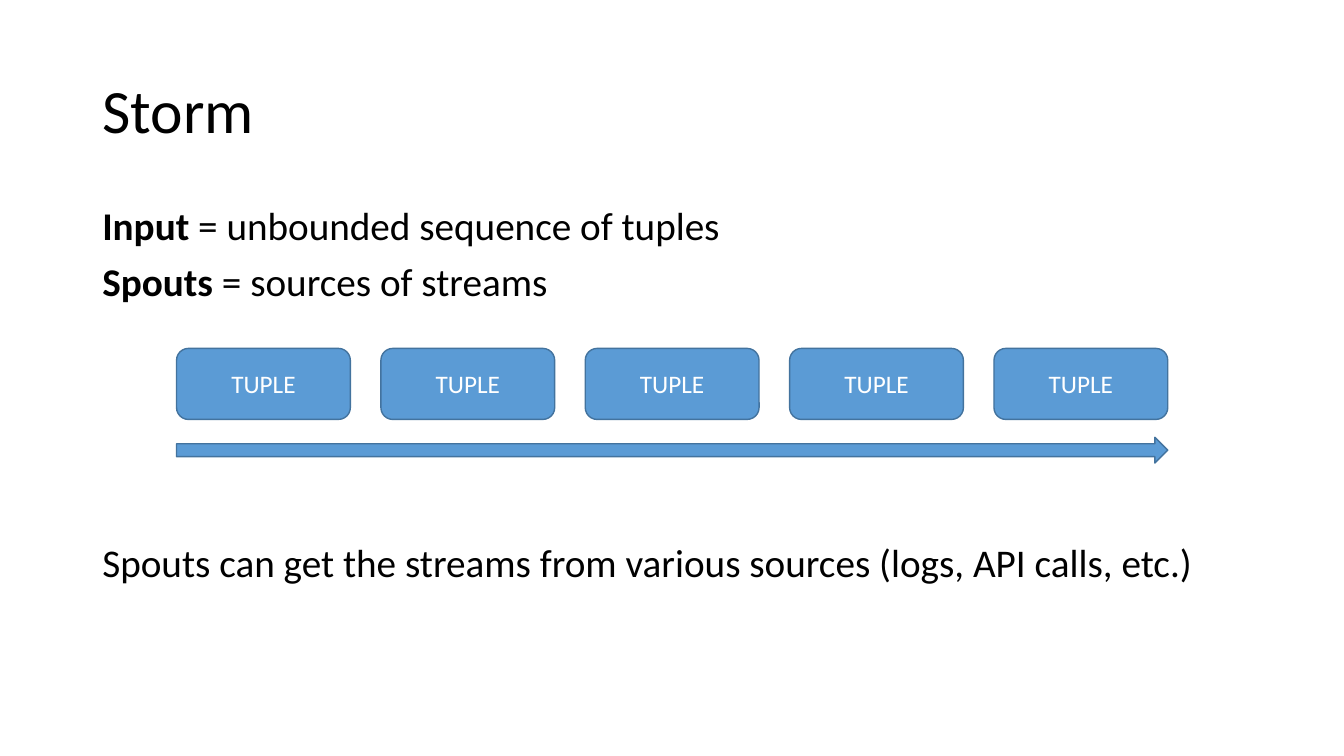
from dataclasses import dataclass

from pptx import Presentation
from pptx.dml.color import RGBColor
from pptx.enum.shapes import MSO_SHAPE
from pptx.enum.text import MSO_ANCHOR, PP_ALIGN
from pptx.util import Cm, Pt

ROUNDED_RECTANGLE = MSO_SHAPE.ROUNDED_RECTANGLE
RIGHT_ARROW = MSO_SHAPE.RIGHT_ARROW
MIDDLE = MSO_ANCHOR.MIDDLE
CENTER = PP_ALIGN.CENTER


@dataclass(frozen=True)
class Theme:
    font: str = "Calibri"
    text: RGBColor = RGBColor(0x00, 0x00, 0x00)
    light_text: RGBColor = RGBColor(0xFF, 0xFF, 0xFF)
    fill: RGBColor = RGBColor(0x5B, 0x9B, 0xD5)
    outline: RGBColor = RGBColor(0x43, 0x73, 0x9E)
    title_size: Pt = Pt(44)
    body_size: Pt = Pt(28)
    label_size: Pt = Pt(18)


theme = Theme()


def add_run(paragraph, text, size, color, bold=False):
    run = paragraph.add_run()
    run.text = text
    run.font.name = theme.font
    run.font.size = size
    run.font.bold = bold
    run.font.color.rgb = color


def add_blue_shape(group, kind, left, top, width, height):
    shape = group.shapes.add_shape(kind, Cm(left), Cm(top), Cm(width), Cm(height))
    shape.shadow.inherit = False
    shape.fill.solid()
    shape.fill.fore_color.rgb = theme.fill
    shape.line.color.rgb = theme.outline
    shape.line.width = Pt(1)
    return shape


presentation = Presentation()
presentation.slide_width = Cm(33.87)
presentation.slide_height = Cm(19.05)
slide = presentation.slides.add_slide(presentation.slide_layouts[6])

# Title
title = slide.shapes.add_textbox(Cm(2.33), Cm(1.02), Cm(29.21), Cm(3.68))
title.text_frame.word_wrap = True
title.text_frame.vertical_anchor = MIDDLE
title_paragraph = title.text_frame.paragraphs[0]
title_paragraph.line_spacing = 0.9
add_run(title_paragraph, "Storm", theme.title_size, theme.text)

# Body: bold term, explanation, space before; the last gap holds the diagram
body_lines = [
    ("Input ", "= unbounded sequence of tuples", 0),
    ("Spouts ", "= sources of streams", 10),
    ("", "Spouts can get the streams from various sources (logs, API calls, etc.)", 170),
]
body = slide.shapes.add_textbox(Cm(2.33), Cm(5.08), Cm(29.21), Cm(12.09))
body.text_frame.word_wrap = True
for index, (term, explanation, space_before) in enumerate(body_lines):
    paragraph = body.text_frame.add_paragraph() if index else body.text_frame.paragraphs[0]
    paragraph.line_spacing = 0.9
    paragraph.space_before = Pt(space_before)
    if term:
        add_run(paragraph, term, theme.body_size, theme.text, bold=True)
    add_run(paragraph, explanation, theme.body_size, theme.text)

# Stream of tuples above an arrow of the same total width
stream_left, tuple_top = 4.45, 8.78
tuple_count, tuple_width, tuple_height, tuple_pitch = 5, 4.38, 1.79, 5.15
stream_width = (tuple_count - 1) * tuple_pitch + tuple_width

stream = slide.shapes.add_group_shape()
for index in range(tuple_count):
    tuple_box = add_blue_shape(stream, ROUNDED_RECTANGLE, stream_left + index * tuple_pitch,
                               tuple_top, tuple_width, tuple_height)
    tuple_box.text_frame.vertical_anchor = MIDDLE
    label = tuple_box.text_frame.paragraphs[0]
    label.alignment = CENTER
    add_run(label, "TUPLE", theme.label_size, theme.light_text)

add_blue_shape(stream, RIGHT_ARROW, stream_left, 11.02, stream_width, 0.65)

presentation.save("out.pptx")
